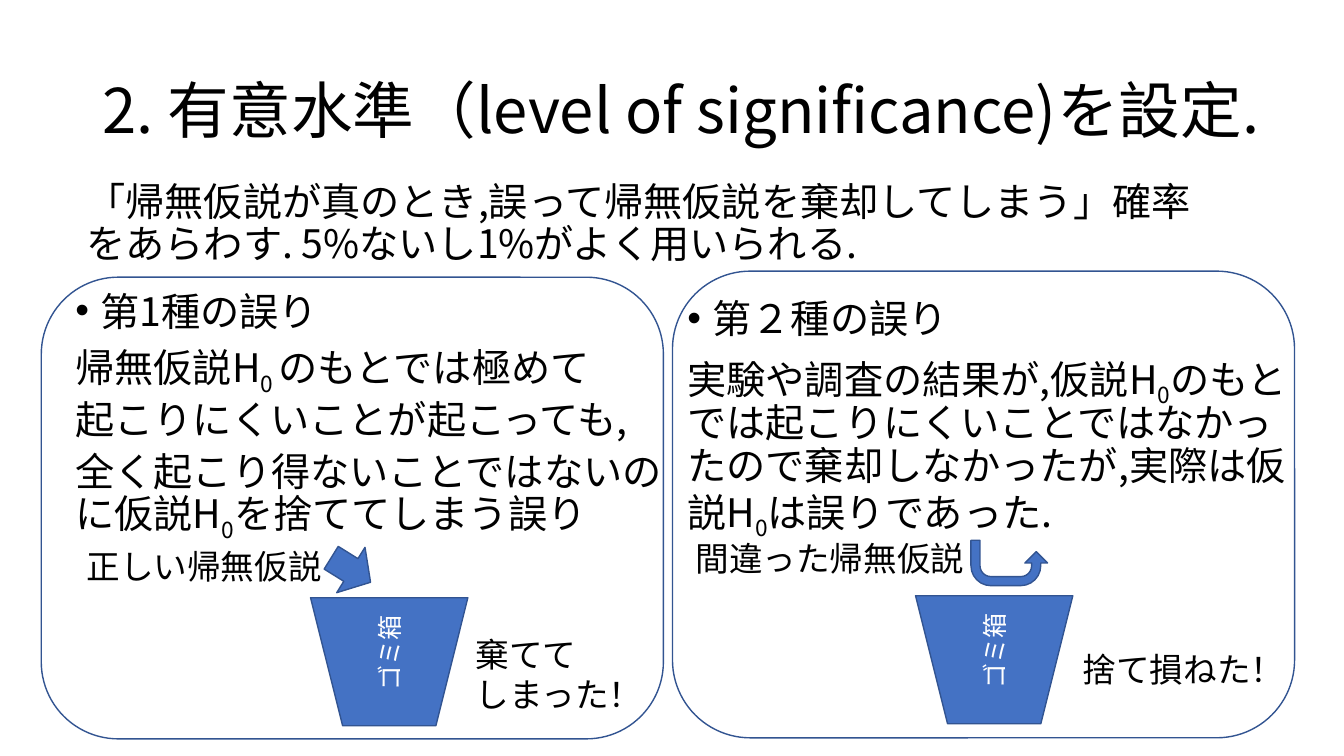
"""Builds a slide on the significance level and the two kinds of error."""
from lxml import etree
from pptx import Presentation
from pptx.dml.color import RGBColor
from pptx.enum import shapes, text
from pptx.oxml import ns
from pptx.util import Inches, Pt

FONT = "Noto Sans CJK JP"
BLACK = RGBColor(0, 0, 0)
WHITE = RGBColor(255, 255, 255)
BLUE = RGBColor(0x44, 0x72, 0xC4)
NAVY = RGBColor(0x32, 0x54, 0x91)
KIND = shapes.MSO_SHAPE

TITLE = "2. 有意水準（level of significance)を設定."
DEFINITION = "「帰無仮説が真のとき,誤って帰無仮説を棄却してしまう」確率をあらわす. 5%ないし1%がよく用いられる."
BIN_LABEL = "ゴミ箱"
BIN_SIZE = (1.56, 1.27)
SUBSCRIPT_MARK = "|"

ERRORS = [
    {
        "frame": (0.41, 2.75, 6.17, 4.58),
        "body": (0.65, 2.89, 6.15, 2.55),
        "spacing": 0.8,
        "lines": [
            "第1種の誤り",
            "帰無仮説H|0 |のもとでは極めて",
            "起こりにくいことが起こっても,",
            "全く起こり得ないことではないのに仮説H|0|を捨ててしまう誤り",
        ],
        "bin": (3.08, 5.93),
        "labels": [
            ((0.76, 5.37, 2.56, 0.5), ["正しい帰無仮説"]),
            ((4.62, 6.24, 1.88, 0.91), ["棄てて", "しまった！"]),
        ],
        "arrow": (KIND.RIGHT_ARROW, (3.25, 5.39, 0.46, 0.53), 31.9, []),
    },
    {
        "frame": (6.67, 2.69, 6.17, 4.63),
        "body": (6.72, 2.92, 6.15, 3.23),
        "spacing": 0.9,
        "lines": [
            "第２種の誤り",
            "実験や調査の結果が,仮説H|0|のもとでは起こりにくいことではなかったので"
            "棄却しなかったが,実際は仮説H|0|は誤りであった.",
        ],
        "bin": (9.08, 5.91),
        "labels": [
            ((6.8, 5.29, 2.89, 0.5), ["間違った帰無仮説"]),
            ((10.64, 6.39, 2.22, 0.5), ["捨て損ねた！"]),
        ],
        "arrow": (KIND.U_TURN_ARROW, (9.63, 5.36, 0.76, 0.45), 180,
                  [0.2, 0.25, 0.25, 0.44, 0.75]),
    },
]


def write(frame, lines, size, color=BLACK, spacing=1.0, before=0, bullet=False):
    for index, line in enumerate(lines):
        paragraph = frame.paragraphs[0] if index == 0 else frame.add_paragraph()
        if bullet and index == 0:
            properties = paragraph._p.get_or_add_pPr()
            properties.set("marL", str(Inches(0.25)))
            properties.set("indent", str(Inches(-0.25)))
            etree.SubElement(properties, ns.qn("a:buFont")).set("typeface", "Arial")
            etree.SubElement(properties, ns.qn("a:buChar")).set("char", "•")
        paragraph.line_spacing = spacing
        paragraph.space_before = Pt(before if index else 0)
        for position, piece in enumerate(line.split(SUBSCRIPT_MARK)):
            run = paragraph.add_run()
            run.text = piece
            run.font.size = Pt(size)
            run.font.color.rgb = color
            run.font.name = FONT
            properties = run._r.get_or_add_rPr()
            etree.SubElement(properties, ns.qn("a:ea")).set("typeface", FONT)
            if position % 2:
                properties.set("baseline", "-25000")


def add_text(slide, box, lines, size, wrap=True, anchor=text.MSO_ANCHOR.TOP, **style):
    frame = slide.shapes.add_textbox(*map(Inches, box)).text_frame
    frame.word_wrap = wrap
    frame.vertical_anchor = anchor
    write(frame, lines, size, **style)


def add_figure(slide, kind, box, rotation=0, filled=True):
    figure = slide.shapes.add_shape(kind, *map(Inches, box))
    figure.shadow.inherit = False
    figure.rotation = rotation
    figure.line.color.rgb = NAVY
    figure.line.width = Pt(1)
    if filled:
        figure.fill.solid()
        figure.fill.fore_color.rgb = BLUE
    else:
        figure.fill.background()
    return figure


def add_error(slide, error):
    add_figure(slide, KIND.ROUNDED_RECTANGLE, error["frame"], filled=False)
    add_text(slide, error["body"], error["lines"], 28,
             spacing=error["spacing"], before=10, bullet=True)

    trash = add_figure(slide, KIND.TRAPEZOID, error["bin"] + BIN_SIZE, 180)
    trash.text_frame.vertical_anchor = text.MSO_ANCHOR.MIDDLE
    trash.text_frame._txBody.bodyPr.set("vert", "vert")
    write(trash.text_frame, [BIN_LABEL], 18, WHITE)
    trash.text_frame.paragraphs[0].alignment = text.PP_ALIGN.CENTER

    for box, lines in error["labels"]:
        add_text(slide, box, lines, 24, wrap=False)

    kind, box, rotation, adjustments = error["arrow"]
    arrow = add_figure(slide, kind, box, rotation)
    for index, value in enumerate(adjustments):
        arrow.adjustments[index] = value
    if kind == KIND.U_TURN_ARROW:
        arrow._element.spPr.xfrm.set("flipH", "1")


def main():
    deck = Presentation()
    deck.slide_width, deck.slide_height = Inches(13.33), Inches(7.5)
    slide = deck.slides.add_slide(deck.slide_layouts[6])
    add_text(slide, (0.92, 0.4, 11.5, 1.45), [TITLE], 44,
             anchor=text.MSO_ANCHOR.MIDDLE, spacing=0.9)
    add_text(slide, (0.76, 1.76, 11.5, 1.03), [DEFINITION], 28, spacing=0.9)
    for error in ERRORS:
        add_error(slide, error)
    deck.save("out.pptx")


if __name__ == "__main__":
    main()
